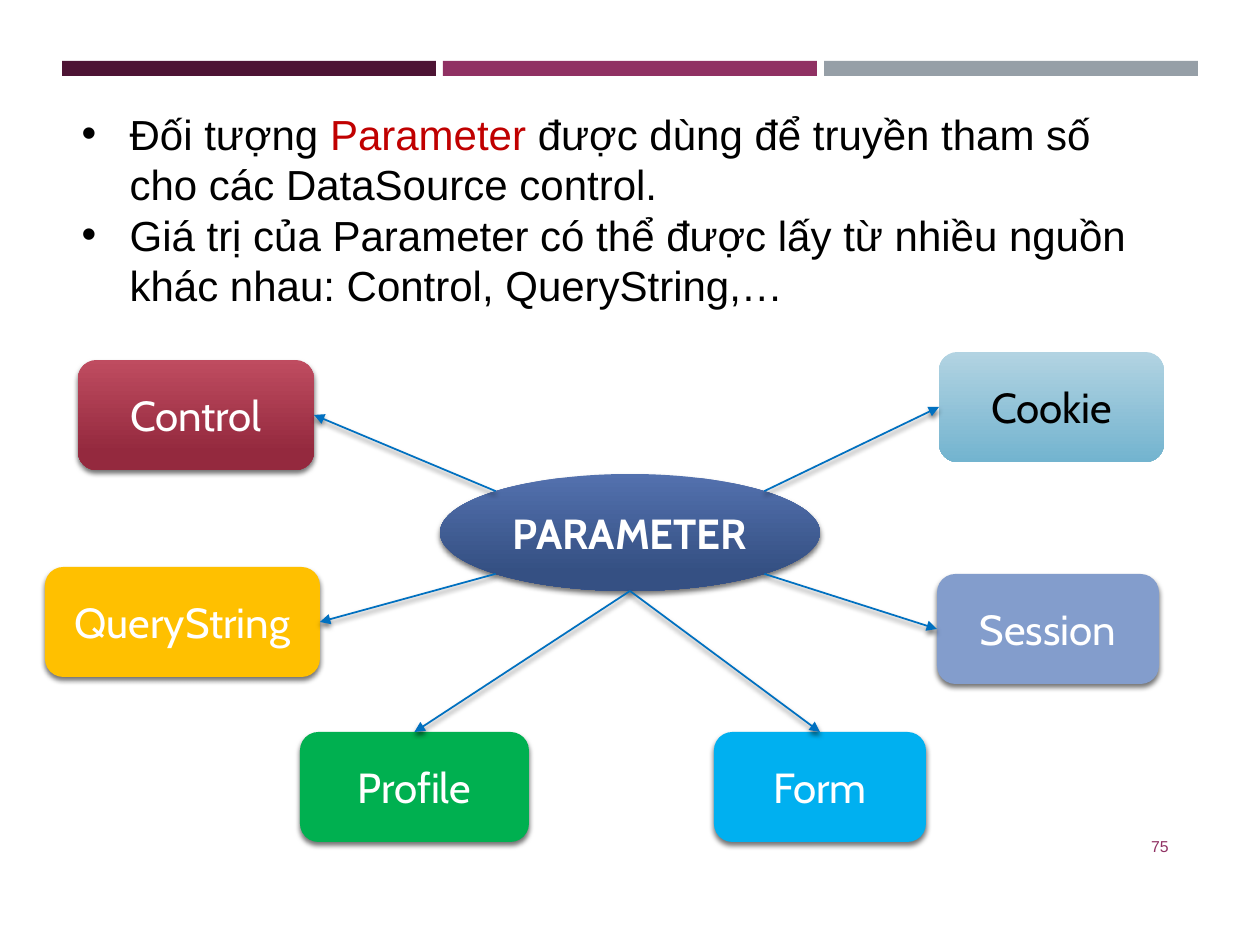
from dataclasses import dataclass
from math import cos, pi
from lxml.etree import SubElement
from pptx import Presentation
from pptx.dml.color import RGBColor
from pptx.enum.shapes import MSO_CONNECTOR as Link, MSO_SHAPE as Preset
from pptx.enum.text import MSO_ANCHOR as Anchor, MSO_AUTO_SIZE as AutoSize, PP_ALIGN as Align
from pptx.oxml.ns import qn
from pptx.util import Pt

SLIDE_WIDTH, SLIDE_HEIGHT = 1260, 945
TOP, LEFT, BOTTOM, RIGHT = range(4)


@dataclass(frozen=True)
class Theme:
    """Fonts, sizes and colours of the slide."""
    body_font: str = "Arial"
    node_font: str = "Cabin"
    text_size: int = 24
    number_size: int = 9
    black: str = "000000"
    white: str = "FFFFFF"
    accent: str = "C00000"
    plum: str = "903163"
    arrow: str = "0070C0"
    bars: tuple = ("4D1434", "903163", "969FA7")
    hub: tuple = ("5371AE", "355083", 0.84)
    control: tuple = ("BF4C60", "94293E", 0.84)
    cookie: tuple = ("B2D3E2", "73B4CF", 1)
    query: str = "FFC000"
    session: str = "839DCC"
    profile: str = "00B050"
    form: str = "00B0F0"


THEME = Theme()


def px(*lengths):
    """Turn pixel lengths into EMU."""
    return [round(length * 9144000 / SLIDE_WIDTH) for length in lengths]


def rgb(code):
    """Read a hexadecimal colour."""
    return RGBColor.from_string(code)


def add_run(paragraph, words, color, font, size=THEME.text_size, bold=False):
    """Add one formatted run to a paragraph."""
    run = paragraph.add_run()
    run.text = words
    run.font.name, run.font.size, run.font.bold = font, Pt(size), bold
    run.font.color.rgb = rgb(color)


def paint(shape, fill):
    """Fill a shape with one colour or a downward gradient, without outline."""
    if isinstance(fill, str):
        shape.fill.solid()
        shape.fill.fore_color.rgb = rgb(fill)
    else:
        upper, lower, end = fill
        shape.fill.gradient()
        shape.fill.gradient_angle = 270
        for stop, color, position in zip(shape.fill.gradient_stops, (upper, lower), (0, end)):
            stop.color.rgb = rgb(color)
            stop.position = position
    shape.line.fill.background()
    shape.shadow.inherit = False


def cast_shadow(effects):
    """Put a soft downward shadow in an effect list."""
    shadow = SubElement(effects, qn("a:outerShdw"), blurRad=str(Pt(3)), dist=str(Pt(2)),
                        dir="5400000", algn="ctr", rotWithShape="0")
    color = SubElement(shadow, qn("a:srgbClr"), val=THEME.black)
    SubElement(color, qn("a:alpha"), val="55000")


def add_bars(slide):
    """Draw the three header bars at equal steps."""
    for column, color in enumerate(THEME.bars):
        bar = slide.shapes.add_shape(Preset.RECTANGLE, *px(62 + 381 * column, 61, 374, 15))
        paint(bar, color)


def add_node(slide, label, box, fill, color=THEME.white, preset=Preset.ROUNDED_RECTANGLE,
             bold=False, shadowed=True):
    """Draw a labelled node of the diagram."""
    node = slide.shapes.add_shape(preset, *px(*box))
    paint(node, fill)
    if shadowed:
        cast_shadow(node._element.spPr.find(qn("a:effectLst")))
    frame = node.text_frame
    frame.word_wrap = True
    frame.vertical_anchor = Anchor.MIDDLE
    frame.paragraphs[0].alignment = Align.CENTER
    add_run(frame.paragraphs[0], label, color, THEME.node_font, bold=bold)
    return node


def add_arrow(slide, hub, across, down, source, side):
    """Point an arrow from the hub's rim to one side of a source node."""
    start_x = round(hub.left + hub.width / 2 * (1 + across))
    start_y = round(hub.top + hub.height / 2 * (1 + down))
    arrow = slide.shapes.add_connector(Link.STRAIGHT, start_x, start_y, start_x, start_y)
    arrow.end_connect(source, side)
    arrow.line.color.rgb = rgb(THEME.arrow)
    arrow.line.width = Pt(1)
    SubElement(arrow.line._get_or_add_ln(), qn("a:tailEnd"), type="triangle")
    cast_shadow(SubElement(arrow._element.spPr, qn("a:effectLst")))


def add_bullet(paragraph, runs):
    """Write a bulleted paragraph from pairs of words and colour."""
    indent, = px(48)
    properties = paragraph._p.get_or_add_pPr()
    properties.set("marL", str(indent))
    properties.set("indent", str(-indent))
    color = SubElement(properties, qn("a:buClr"))
    SubElement(color, qn("a:srgbClr"), val=THEME.black)
    SubElement(properties, qn("a:buFont"), typeface=THEME.body_font)
    SubElement(properties, qn("a:buChar"), char="•")
    paragraph.space_before = Pt(0)
    for words, ink in runs:
        add_run(paragraph, words, ink, THEME.body_font)


def write_list(body, items):
    """Place the body placeholder and fill it with bullets."""
    body.left, body.top, body.width, body.height = px(69, 102, 1113, 217)
    frame = body.text_frame
    frame.auto_size = AutoSize.NONE
    frame.vertical_anchor = Anchor.TOP
    for index, runs in enumerate(items):
        add_bullet(frame.add_paragraph() if index else frame.paragraphs[0], runs)


def add_page_number(slide, number):
    """Write the page number at the lower right."""
    frame = slide.shapes.add_textbox(*px(1075, 821, 106, 50)).text_frame
    frame.word_wrap = True
    frame.vertical_anchor = Anchor.MIDDLE
    frame.paragraphs[0].alignment = Align.RIGHT
    add_run(frame.paragraphs[0], number, THEME.plum, THEME.body_font, THEME.number_size)


def main():
    """Build the slide and save it."""
    deck = Presentation()
    deck.slide_width, deck.slide_height = px(SLIDE_WIDTH, SLIDE_HEIGHT)
    slide = deck.slides.add_slide(deck.slide_layouts[1])
    title = slide.shapes.title._element
    title.getparent().remove(title)
    add_bars(slide)
    write_list(slide.placeholders[1], [
        [("Đối tượng ", THEME.black), ("Parameter", THEME.accent),
         (" được dùng để truyền tham số cho các DataSource control.", THEME.black)],
        [("Giá trị của Parameter có thể được lấy từ nhiều nguồn khác nhau: "
          "Control, QueryString,…", THEME.black)],
    ])
    hub = add_node(slide, "PARAMETER", (440, 474, 380, 117), THEME.hub,
                   preset=Preset.OVAL, bold=True)
    query = add_node(slide, "QueryString", (45, 567, 275, 110), THEME.query)
    session = add_node(slide, "Session", (937, 574, 222, 110), THEME.session)
    profile = add_node(slide, "Profile", (300, 732, 229, 110), THEME.profile)
    cookie = add_node(slide, "Cookie", (939, 352, 225, 110), THEME.cookie,
                      THEME.black, shadowed=False)
    form = add_node(slide, "Form", (714, 732, 212, 110), THEME.form)
    control = add_node(slide, "Control", (78, 360, 236, 110), THEME.control)
    diagonal = cos(pi / 4)
    for across, down, source, side in (
            (-diagonal, -diagonal, control, RIGHT), (-diagonal, diagonal, query, RIGHT),
            (diagonal, -diagonal, cookie, LEFT), (diagonal, diagonal, session, LEFT),
            (0, 1, form, TOP), (0, 1, profile, TOP)):
        add_arrow(slide, hub, across, down, source, side)
    add_page_number(slide, "75")
    deck.save("out.pptx")


if __name__ == "__main__":
    main()
